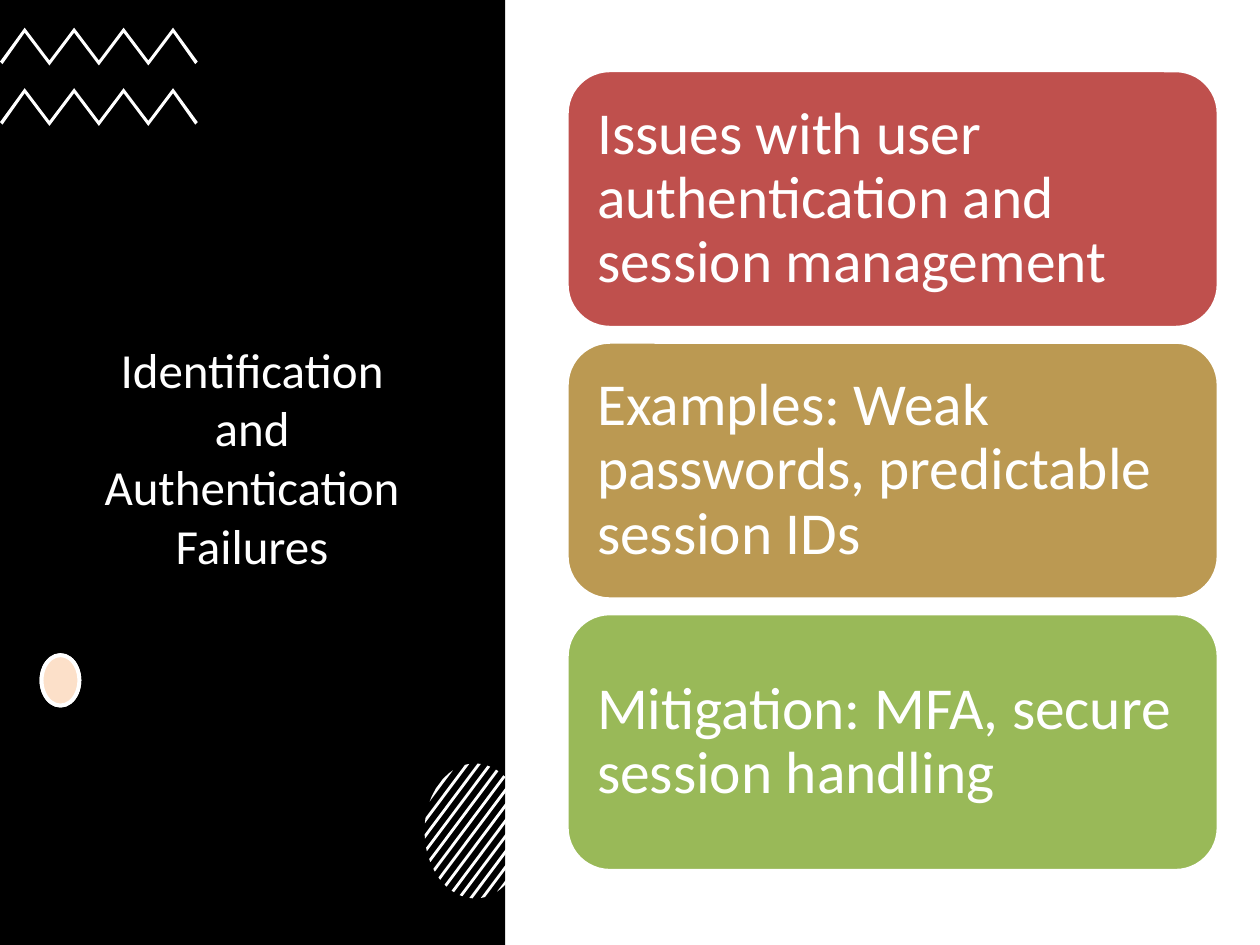
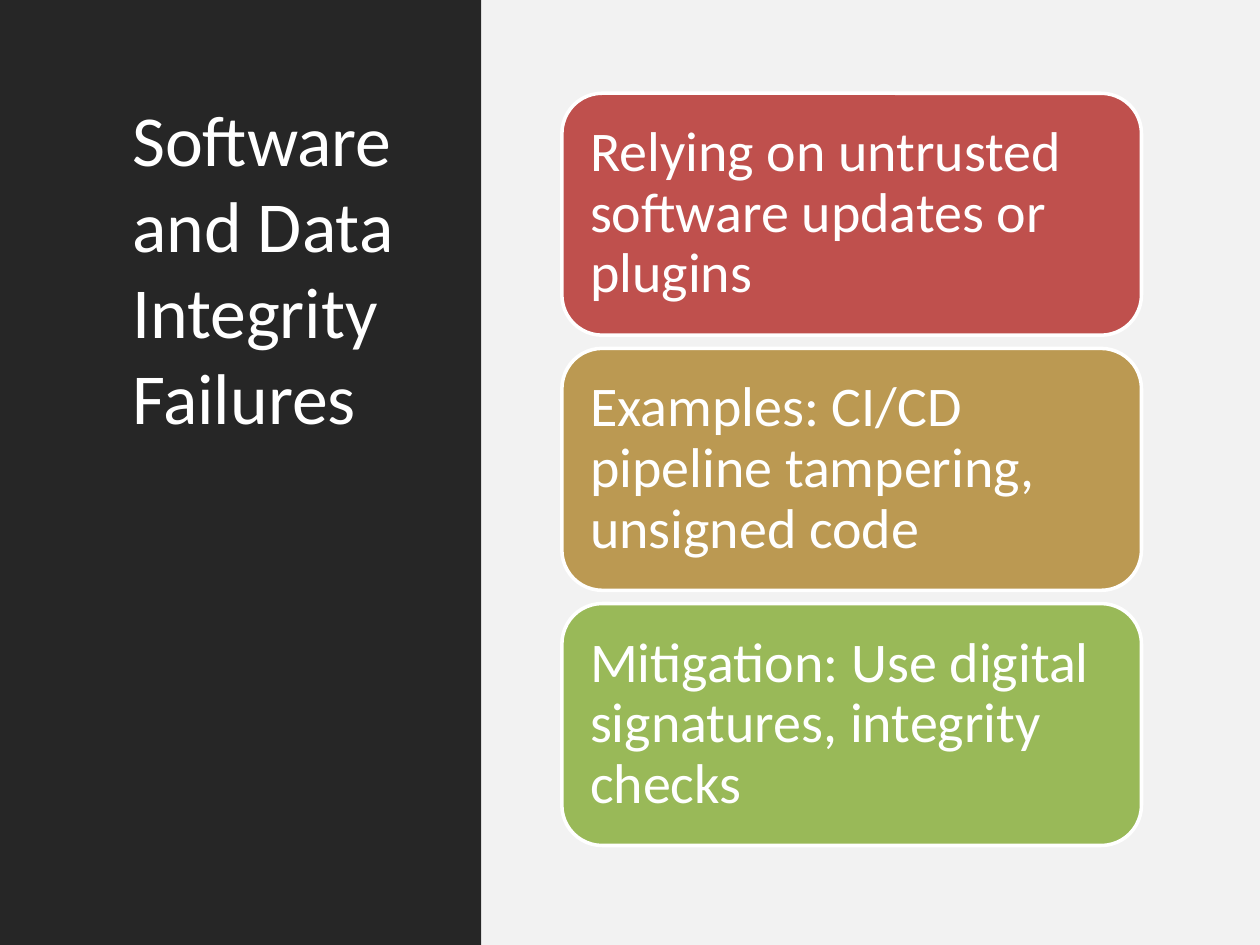
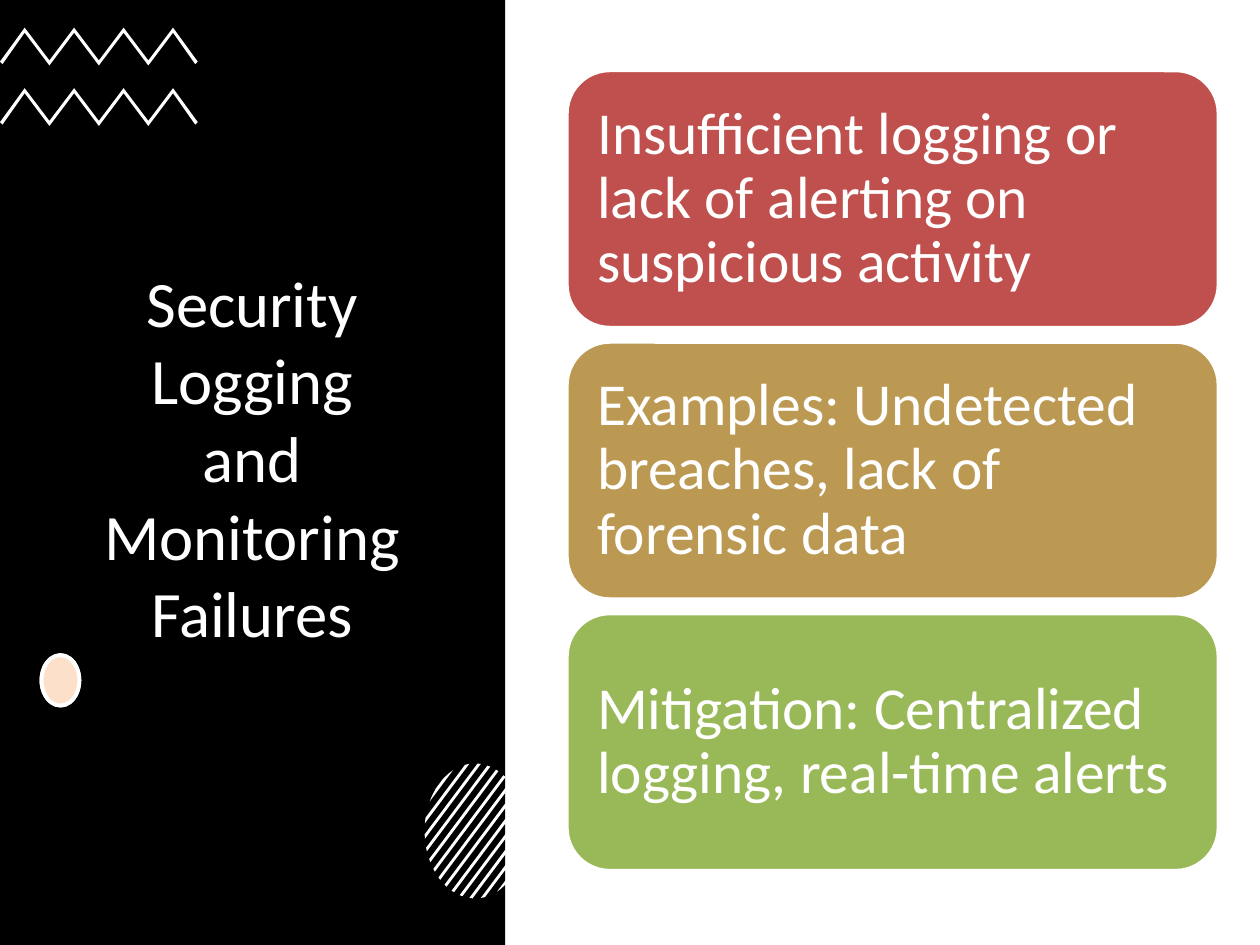
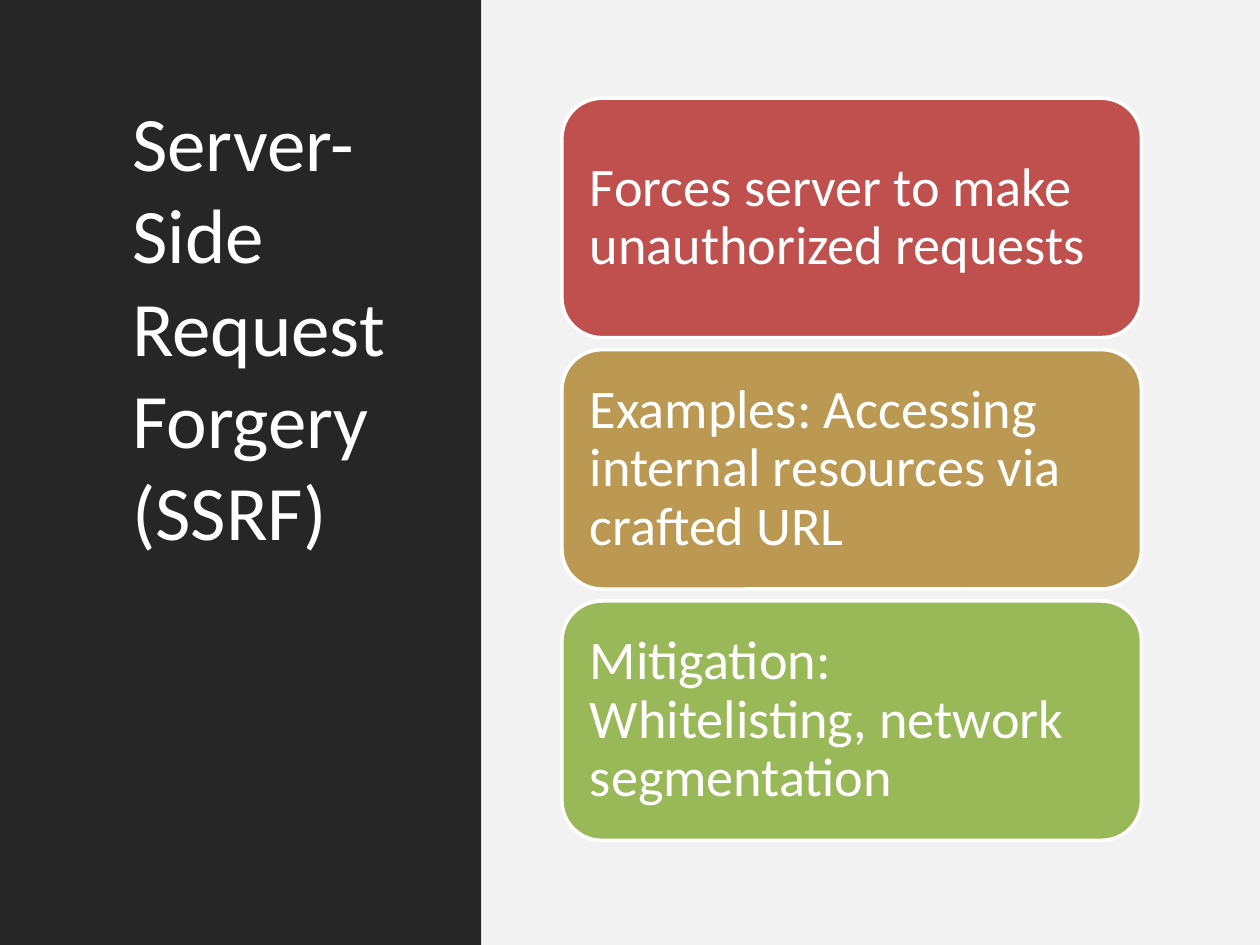
import math

from lxml import etree
from pptx import Presentation
from pptx.dml.color import RGBColor
from pptx.enum.shapes import MSO_SHAPE
from pptx.enum.text import MSO_ANCHOR, PP_ALIGN
from pptx.oxml.ns import qn
from pptx.util import Emu, Inches, Pt

RECTANGLE = MSO_SHAPE.RECTANGLE
ROUNDED = MSO_SHAPE.ROUNDED_RECTANGLE
OVAL = MSO_SHAPE.OVAL
TOP, MIDDLE = MSO_ANCHOR.TOP, MSO_ANCHOR.MIDDLE
LEFT, CENTER = PP_ALIGN.LEFT, PP_ALIGN.CENTER

FONT = "Calibri"
WHITE, BLACK, CHARCOAL, PALE_GRAY, ORANGE = "FFFFFF", "000000", "262626", "F2F2F2", "F79646"
CARD_COLORS = ["BF504D", "BB9952", "99B958"]
WIDTH, HEIGHT = 10, 7.5

ORNATE = {
    "panel_width": 4.01, "panel_color": BLACK, "side_color": None, "ornaments": True,
    "title_box": (0.69, 1.31, 2.62, 4.63), "anchor": MIDDLE, "align": CENTER,
    "card_left": 4.5, "card_width": 5.17, "card_inset": 0.14,
}
PLAIN = {
    "panel_width": 3.82, "panel_color": CHARCOAL, "side_color": PALE_GRAY, "ornaments": False,
    "title_box": (0.95, 0.7, 2.38, 6.1), "anchor": TOP, "align": LEFT,
    "card_left": 4.46, "card_width": 4.6, "card_inset": 0.13,
}

SLIDES = [
    {
        "style": ORNATE, "title": "Identification and Authentication Failures", "title_size": 28,
        "card_size": 34, "cards_top": 0.56, "cards_bottom": 6.91, "card_height": 2.04,
        "cards": ["Issues with user authentication and session management",
                  "Examples: Weak passwords, predictable session IDs",
                  "Mitigation: MFA, secure session handling"],
    },
    {
        "style": PLAIN, "title": "Software and Data Integrity Failures", "title_size": 41,
        "card_size": 32, "cards_top": 0.74, "cards_bottom": 6.71, "card_height": 1.92,
        "cards": ["Relying on untrusted software updates or plugins",
                  "Examples: CI/CD pipeline tampering, unsigned code",
                  "Mitigation: Use digital signatures, integrity checks"],
    },
    {
        "style": ORNATE, "title": "Security Logging and Monitoring Failures", "title_size": 37,
        "card_size": 34, "cards_top": 0.56, "cards_bottom": 6.91, "card_height": 2.04,
        "cards": ["Insufficient logging or lack of alerting on suspicious activity",
                  "Examples: Undetected breaches, lack of forensic data",
                  "Mitigation: Centralized logging, real-time alerts"],
    },
    {
        "style": PLAIN, "title": "Server-\nSide Request Forgery (SSRF)", "title_size": 44,
        "card_size": 31, "cards_top": 0.78, "cards_bottom": 6.67, "card_height": 1.9,
        "cards": ["Forces server to make unauthorized requests",
                  "Examples: Accessing internal resources via crafted URL",
                  "Mitigation: Whitelisting, network segmentation"],
    },
]


def paint(shape, fill, line=None, line_width=0, opacity=None):
    shape.shadow.inherit = False
    shape.fill.solid()
    shape.fill.fore_color.rgb = RGBColor.from_string(fill)
    if opacity is not None:
        color = shape.fill._xPr.find(".//" + qn("a:srgbClr"))
        etree.SubElement(color, qn("a:alpha")).set("val", str(opacity * 1000))
    if line:
        shape.line.color.rgb = RGBColor.from_string(line)
        shape.line.width = Pt(line_width)
    else:
        shape.line.fill.background()


def add_block(shapes, kind, box, fill, **style):
    shape = shapes.add_shape(kind, *map(Inches, box))
    paint(shape, fill, **style)
    return shape


def add_outline(shapes, points):
    corners = [(Inches(x), Inches(y)) for x, y in points]
    builder = shapes.build_freeform(*corners[0], scale=1.0)
    builder.add_line_segments(corners[1:], close=True)
    paint(builder.convert_to_shape(Emu(0), Emu(0)), WHITE)


def write(shape, text, size, anchor, align, insets, spacing=None):
    frame = shape.text_frame
    frame.text = text
    frame.word_wrap = True
    frame.vertical_anchor = anchor
    frame.margin_left = frame.margin_right = Inches(insets[0])
    frame.margin_top = frame.margin_bottom = Inches(insets[1])
    for paragraph in frame.paragraphs:
        paragraph.alignment = align
        paragraph.line_spacing = spacing
        for run in paragraph.runs:
            run.font.name = FONT
            run.font.size = Pt(size)
            run.font.color.rgb = RGBColor.from_string(WHITE)


def add_zigzags(slide, width=1.57, rise=0.26, thickness=0.04, folds=8):
    group = slide.shapes.add_group_shape()
    for top in (0.22, 0.7):
        ridge = [(i * width / folds, top + (0 if i % 2 else rise)) for i in range(folds + 1)]
        underside = [(x, y + thickness) for x, y in reversed(ridge[1:-1])]
        tip, foot = top + rise + 0.01, top + rise + 0.03
        outline = [(0, tip)] + ridge[1:-1] + [(width, tip), (width - 0.02, foot)]
        add_outline(group.shapes, outline + underside + [(0.02, foot)])


def add_striped_disc(slide, box=(3.37, 6.06, 0.8, 1.07), stripes=13, reach=0.97, thickness=0.05):
    group = slide.shapes.add_group_shape()
    left, top, width, height = box

    def rim(offset, side):
        along = side * math.sqrt(1 - offset ** 2)
        across, down = (offset + along) / math.sqrt(2), (offset - along) / math.sqrt(2)
        return left + width * (1 + across) / 2, top + height * (1 + down) / 2

    for i in range(stripes):
        middle = reach * (2 * i / (stripes - 1) - 1)
        offsets = [middle - thickness / 2, middle, middle + thickness / 2]
        add_outline(group.shapes, [rim(offset, 1) for offset in offsets]
                    + [rim(offset, -1) for offset in reversed(offsets)])


def add_ornaments(slide):
    add_zigzags(slide)
    for fill, opacity in ((WHITE, None), (ORANGE, 29)):
        add_block(slide.shapes, OVAL, (0.33, 5.2, 0.3, 0.4), fill,
                  line=WHITE, line_width=2.25, opacity=opacity)
    add_striped_disc(slide)


def add_cards(slide, content, style):
    height, top = content["card_height"], content["cards_top"]
    step = (content["cards_bottom"] - top - height) / (len(content["cards"]) - 1)
    inset = style["card_inset"]
    for i, (text, color) in enumerate(zip(content["cards"], CARD_COLORS)):
        box = (style["card_left"], top + i * step, style["card_width"], height)
        card = add_block(slide.shapes, ROUNDED, box, color, line=WHITE, line_width=2)
        card.adjustments[0] = 1 / 6
        write(card, text, content["card_size"], MIDDLE, LEFT, (inset, inset), spacing=0.9)


def build_slide(presentation, content):
    style = content["style"]
    slide = presentation.slides.add_slide(presentation.slide_layouts[6])
    panel = style["panel_width"]
    add_block(slide.shapes, RECTANGLE, (0, 0, panel, HEIGHT), style["panel_color"])
    title = slide.shapes.add_textbox(*map(Inches, style["title_box"]))
    write(title, content["title"], content["title_size"], style["anchor"], style["align"], (0.1, 0.05))
    if style["side_color"]:
        add_block(slide.shapes, RECTANGLE, (panel, 0, WIDTH - panel, HEIGHT), style["side_color"])
    if style["ornaments"]:
        add_ornaments(slide)
    add_cards(slide, content, style)


def main():
    presentation = Presentation()
    presentation.slide_width, presentation.slide_height = Inches(WIDTH), Inches(HEIGHT)
    for content in SLIDES:
        build_slide(presentation, content)
    presentation.save("out.pptx")


if __name__ == "__main__":
    main()
